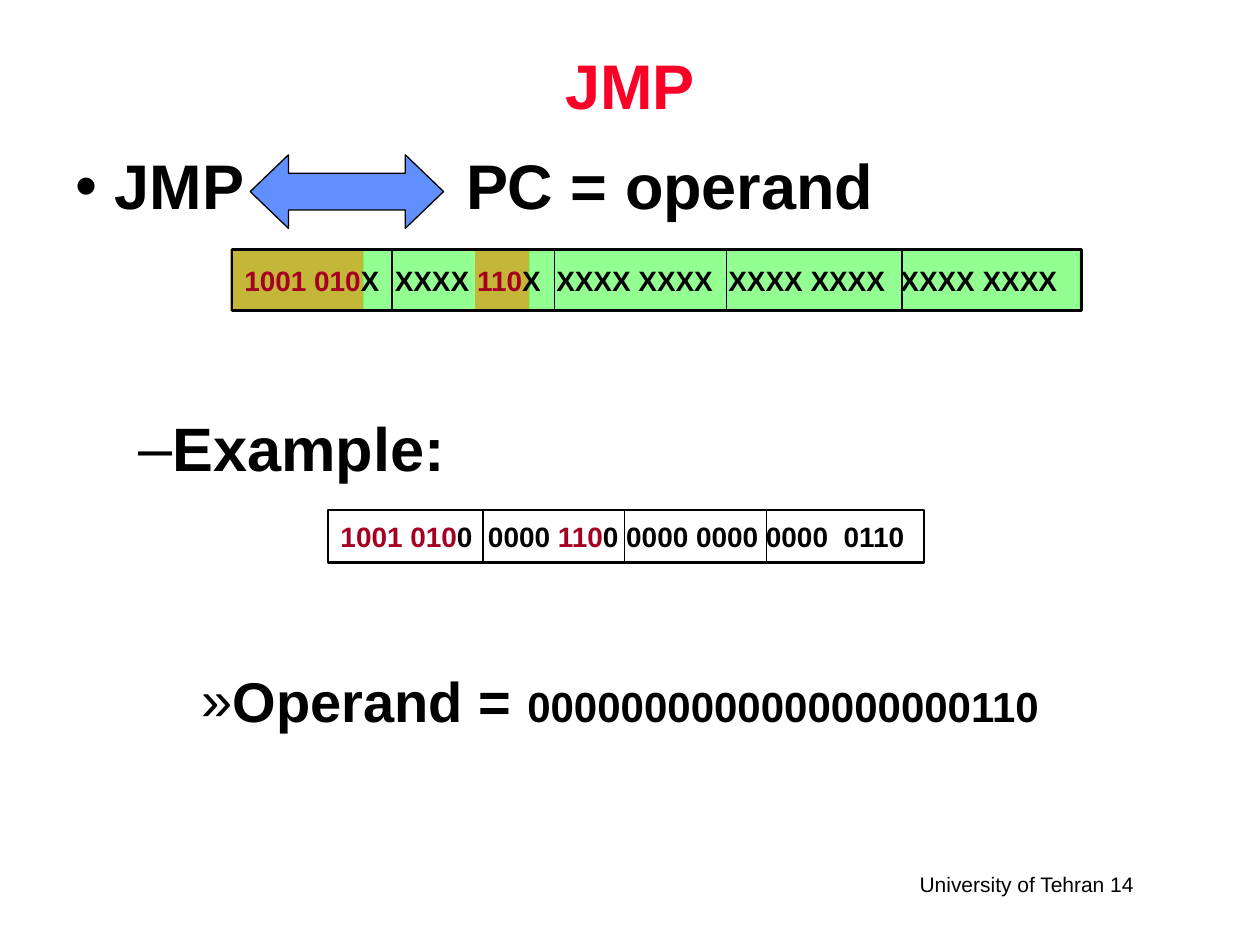
"""Build the JMP instruction slide with its encoding and an example."""
from dataclasses import dataclass

from lxml.etree import SubElement
from pptx import Presentation
from pptx.dml.color import RGBColor
from pptx.enum.shapes import MSO_CONNECTOR, MSO_SHAPE
from pptx.enum.text import MSO_ANCHOR, PP_ALIGN
from pptx.oxml.ns import qn
from pptx.util import Pt

FONT = "Arial"
BLACK, RED, CRIMSON = "000000", "FC0128", "A50021"
BLUE, GREEN, LIME, OCHRE = "618FFD", "93FF93", "66FF66", "C3B639"


@dataclass
class Span:
    text: str
    size: float
    color: str = BLACK
    bold: bool = True


@dataclass
class Bullet:
    mark: str
    left: float
    hanging: float
    before: float
    spans: list[Span]


@dataclass
class Area:
    left: float
    top: float
    width: float
    height: float

    def lengths(self) -> tuple:
        return Pt(self.left), Pt(self.top), Pt(self.width), Pt(self.height)


@dataclass
class Band:
    left: float
    width: float
    fill: str
    line: str


@dataclass
class Instruction:
    area: Area
    bits: list[str]
    dividers: list[float]


def rgb(color: str) -> RGBColor:
    """Turn a hex string into a colour."""
    return RGBColor.from_string(color)


def add_spans(para, spans: list[Span]) -> None:
    """Append formatted runs to a paragraph."""
    for span in spans:
        run = para.add_run()
        run.text = span.text
        run.font.name = FONT
        run.font.size = Pt(span.size)
        run.font.bold = span.bold
        run.font.color.rgb = rgb(span.color)


def add_text(page, area: Area, spans: list[Span]) -> None:
    """Add a one-paragraph text box."""
    frame = page.shapes.add_textbox(*area.lengths()).text_frame
    frame.word_wrap = True
    frame.paragraphs[0].line_spacing = 0.9
    add_spans(frame.paragraphs[0], spans)


def add_bullets(page, area: Area, bullets: list[Bullet]) -> None:
    """Add a text box holding the outline."""
    frame = page.shapes.add_textbox(*area.lengths()).text_frame
    frame.word_wrap = True
    for index, bullet in enumerate(bullets):
        para = frame.add_paragraph() if index else frame.paragraphs[0]
        para.line_spacing = 0.9
        para.space_before = Pt(bullet.before)
        add_spans(para, bullet.spans)
        properties = para._p.get_or_add_pPr()
        properties.set("marL", str(Pt(bullet.left)))
        properties.set("indent", str(-Pt(bullet.hanging)))
        SubElement(properties, qn("a:buFont"), typeface=FONT)
        SubElement(properties, qn("a:buChar"), char=bullet.mark)


def add_box(page, kind, area: Area, fill: str | None, line: str, weight: float):
    """Add a flat preset shape."""
    box = page.shapes.add_shape(kind, *area.lengths())
    box.shadow.inherit = False
    if fill:
        box.fill.solid()
        box.fill.fore_color.rgb = rgb(fill)
    else:
        box.fill.background()
    box.line.color.rgb = rgb(line)
    box.line.width = Pt(weight)
    return box


def add_divider(page, x: float, area: Area) -> None:
    """Draw a vertical byte boundary across an area."""
    top, bottom = Pt(area.top), Pt(area.top + area.height)
    line = page.shapes.add_connector(MSO_CONNECTOR.STRAIGHT, Pt(x), top, Pt(x), bottom)
    line.line.color.rgb = rgb(BLACK)
    line.line.width = Pt(0.75)
    SubElement(line._element.spPr, qn("a:effectLst"))


def add_instruction(page, instruction: Instruction) -> None:
    """Draw an instruction word whose opcode bits alternate in crimson."""
    area = instruction.area
    box = add_box(page, MSO_SHAPE.RECTANGLE, area, None, BLACK, 1.5)
    frame = box.text_frame
    frame.word_wrap = True
    frame.margin_right = 0
    frame.vertical_anchor = MSO_ANCHOR.MIDDLE
    frame.paragraphs[0].alignment = PP_ALIGN.LEFT
    colors = (CRIMSON, BLACK)
    spans = [Span(bits, 16, colors[i % 2]) for i, bits in enumerate(instruction.bits)]
    add_spans(frame.paragraphs[0], spans)
    for x in instruction.dividers:
        add_divider(page, x, area)


def add_title(page, area: Area, span: Span) -> None:
    """Place and format the title placeholder."""
    title = page.shapes.title
    title.left, title.top, title.width, title.height = area.lengths()
    title.text_frame.vertical_anchor = MSO_ANCHOR.MIDDLE
    para = title.text_frame.paragraphs[0]
    para.alignment = PP_ALIGN.CENTER
    para.line_spacing = 0.9
    add_spans(para, [span])


def main() -> None:
    """Assemble and save the deck."""
    deck = Presentation()
    deck.slide_width, deck.slide_height = Pt(720), Pt(540)
    page = deck.slides.add_slide(deck.slide_layouts[5])

    add_title(page, Area(78, 6, 564, 90), Span("JMP", 36, RED))
    add_text(page, Area(518.4, 496, 193, 21.6),
             [Span("University of Tehran 14", 12, bold=False)])
    add_bullets(page, Area(36, 85, 662, 329), [
        Bullet("•", 22.5, 22.5, 0, [Span("JMP", 36)]),
        Bullet("–", 54, 18, 112, [Span("Example:", 35)]),
        Bullet("»", 90, 18, 108, [Span("Operand = ", 32),
                                  Span("0000000000000000000110", 24)]),
    ])
    add_text(page, Area(259.2, 85, 300, 48), [Span("PC = operand", 36)])

    arrow = add_box(page, MSO_SHAPE.LEFT_RIGHT_ARROW, Area(143, 88.5, 110.5, 42),
                    BLUE, BLACK, 0.75)
    arrow.adjustments[0], arrow.adjustments[1] = 0.5, 0.52

    layout = Area(132.5, 142.5, 485.5, 35)
    bands = [
        Band(207.5, 65.5, GREEN, LIME),
        Band(272, 30.5, OCHRE, OCHRE),
        Band(132, 75, OCHRE, OCHRE),
        Band(302.5, 314.5, GREEN, LIME),
    ]
    for band in bands:
        area = Area(band.left, layout.top, band.width, layout.height)
        add_box(page, MSO_SHAPE.RECTANGLE, area, band.fill, band.line, 0.75)

    instructions = [
        Instruction(layout, ["1001 010", "X  XXXX ", "110",
                             "X  XXXX XXXX  XXXX XXXX  XXXX XXXX"],
                    [224, 317, 415, 515.5]),
        Instruction(Area(187.5, 291.5, 340.5, 30),
                    ["1001 010", "0  0000 ", "110", "0 0000 0000 0000  0110"],
                    [276 + 81 * step for step in range(3)]),
    ]
    for instruction in instructions:
        add_instruction(page, instruction)

    deck.save("out.pptx")


if __name__ == "__main__":
    main()
